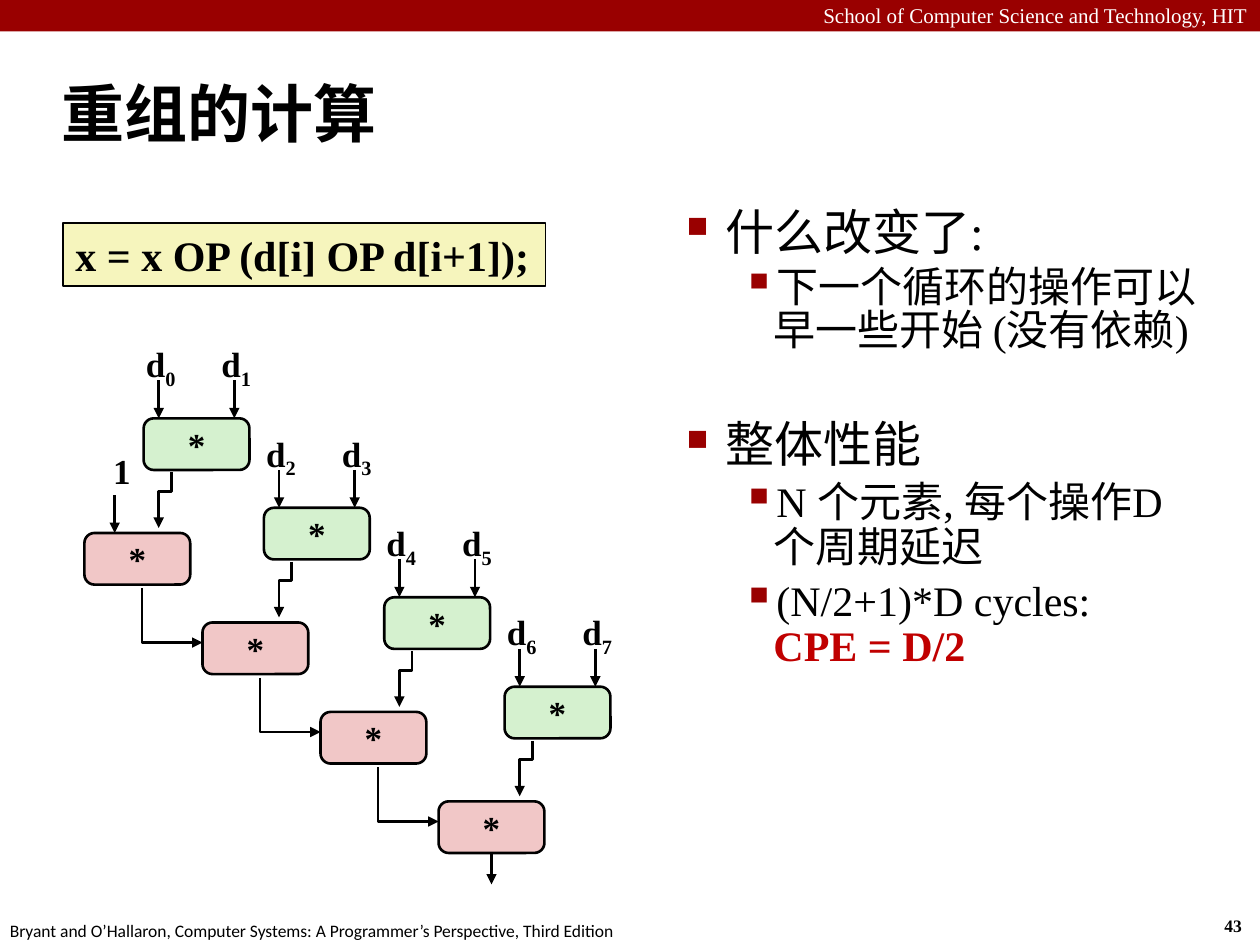
from lxml import etree
from pptx import Presentation
from pptx.dml.color import RGBColor
from pptx.enum.shapes import MSO_CONNECTOR, MSO_SHAPE
from pptx.enum.text import MSO_ANCHOR, PP_ALIGN
from pptx.oxml.ns import qn
from pptx.util import Inches, Pt

BLACK = RGBColor(0x00, 0x00, 0x00)
WHITE = RGBColor(0xFF, 0xFF, 0xFF)
CRIMSON = RGBColor(0x99, 0x00, 0x00)
RED = RGBColor(0xC0, 0x00, 0x00)
PINK = RGBColor(0xF1, 0xC7, 0xC7)
GREEN = RGBColor(0xD5, 0xF1, 0xCF)
CREAM = RGBColor(0xF6, 0xF5, 0xBD)
LEFT, CENTER, RIGHT = PP_ALIGN.LEFT, PP_ALIGN.CENTER, PP_ALIGN.RIGHT
TOP, MIDDLE = MSO_ANCHOR.TOP, MSO_ANCHOR.MIDDLE
RECTANGLE, ROUNDED = MSO_SHAPE.RECTANGLE, MSO_SHAPE.ROUNDED_RECTANGLE
STRAIGHT = MSO_CONNECTOR.STRAIGHT
SERIF, SANS = "Times New Roman", "Calibri"
BOTTOM_SIDE = 2

NODE_WIDTH, NODE_HEIGHT = 0.84, 0.41
ROW_STEP = 0.71


class SlideBuilder:
    def __init__(self, page):
        self.page = page
        self.shapes = page.shapes

    def style(self, para, size, color=BLACK, bold=False, font=SERIF, align=LEFT):
        para.alignment = align
        para.font.size = Pt(size)
        para.font.name = font
        para.font.bold = bold
        para.font.color.rgb = color

    def indent(self, para, margin, hanging):
        properties = para._p.get_or_add_pPr()
        properties.set("marL", str(Inches(margin)))
        properties.set("indent", str(-Inches(hanging)))
        return properties

    def text(self, place, content, size, wrap=True, anchor=TOP, subscript=None, **look):
        box = self.shapes.add_textbox(*map(Inches, place))
        frame = box.text_frame
        frame.word_wrap = wrap
        frame.vertical_anchor = anchor
        para = frame.paragraphs[0]
        para.add_run().text = content
        self.style(para, size, **look)
        if subscript is not None:
            frame.margin_left = frame.margin_right = Inches(0.05)
            span = para.add_run()
            span.text = subscript
            span.font._element.set("baseline", "-25000")
        return para

    def box(self, place, fill, kind=RECTANGLE, content="", size=20, border=None, align=CENTER):
        shape = self.shapes.add_shape(kind, *map(Inches, place))
        shape.shadow.inherit = False
        shape.fill.solid()
        shape.fill.fore_color.rgb = fill
        if border:
            shape.line.color.rgb = BLACK
            shape.line.width = Pt(border)
        else:
            shape.line.fill.background()
        if content:
            frame = shape.text_frame
            frame.word_wrap = False
            frame.vertical_anchor = MIDDLE
            frame.text = content
            self.style(frame.paragraphs[0], size, bold=True, align=align)
        return shape

    def node(self, left, top, fill):
        shape = self.box((left, top, NODE_WIDTH, NODE_HEIGHT), fill, ROUNDED, "*", border=1.5)
        shape.adjustments[0] = 0.196
        return shape

    def arrowhead(self, shape):
        shape.line.color.rgb = BLACK
        shape.line.width = Pt(1.5)
        etree.SubElement(shape.line._get_or_add_ln(), qn("a:tailEnd"), type="triangle")

    def arrow(self, left, top, length=0.3, source=None):
        line = self.shapes.add_connector(
            STRAIGHT, Inches(left), Inches(top), Inches(left), Inches(top + length))
        if source is not None:
            line.begin_connect(source, BOTTOM_SIDE)
        self.arrowhead(line)
        etree.SubElement(line._element.spPr, qn("a:effectLst"))

    def elbow(self, *points):
        start, *rest = [(Inches(x), Inches(y)) for x, y in points]
        builder = self.shapes.build_freeform(*start)
        builder.add_line_segments(rest, close=False)
        shape = builder.convert_to_shape()
        shape.shadow.inherit = False
        shape.fill.background()
        self.arrowhead(shape)

    def bullets(self, place, items):
        frame = self.shapes.add_textbox(*map(Inches, place)).text_frame
        frame.word_wrap = True
        for index, (level, content, spacing, before, highlight) in enumerate(items):
            para = frame.paragraphs[0] if index == 0 else frame.add_paragraph()
            para.level = level
            margin, hanging, mark, scale, size = [
                (0.31, 0.31, "■", "60000", 28),
                (0.69, 0.25, "▪", "110000", 24),
            ][level]
            properties = self.indent(para, margin, hanging)
            color = etree.SubElement(properties, qn("a:buClr"))
            etree.SubElement(color, qn("a:srgbClr"), val=str(CRIMSON))
            etree.SubElement(properties, qn("a:buSzPct"), val=scale)
            etree.SubElement(properties, qn("a:buChar"), char=mark)
            self.style(para, size)
            para.line_spacing = spacing
            para.space_before = Pt(before)
            para.add_run().text = content
            if highlight:
                para.add_line_break()
                span = para.add_run()
                span.text = highlight
                span.font.bold = True
                span.font.color.rgb = RED


def draw_computation(slide):
    for row in range(4):
        drop = row * ROW_STEP
        green_left, green_top = 1.14 + 0.955 * row, 3.32 + drop
        pink_left, pink_top = 0.67 + 0.937 * row, 4.23 + drop

        pink = slide.node(pink_left, pink_top, PINK)
        slide.node(green_left, green_top, GREEN)
        for column, offset in enumerate((0.12, 0.72)):
            center = green_left + offset
            slide.text((center - 0.16, green_top - 0.65, 0.35, 0.44), "d", 20, wrap=False,
                       subscript=str(2 * row + column), bold=True, align=CENTER)
            slide.arrow(center, green_top - 0.3)

        exit_x, entry_x = green_left + 0.22, green_left + 0.12
        slide.elbow((exit_x, green_top + 0.43), (exit_x, green_top + 0.58),
                    (entry_x, green_top + 0.58), (entry_x, green_top + 0.87))
        if row == 0:
            slide.text((0.8, 3.52, 0.24, 0.44), "1", 20, wrap=False, bold=True, align=CENTER)
            slide.arrow(0.91, 3.93)
        else:
            turn_x, turn_y = pink_left - 0.48, pink_top + 0.16
            slide.elbow((turn_x, turn_y - 0.43), (turn_x, turn_y), (pink_left, turn_y))
    slide.arrow(pink_left + NODE_WIDTH / 2, pink_top + NODE_HEIGHT, 0.25, source=pink)


def main():
    deck = Presentation()
    deck.slide_width, deck.slide_height = Inches(10), Inches(7.5)
    slide = SlideBuilder(deck.slides.add_slide(deck.slide_layouts[6]))

    slide.box((0, 0, 10, 0.25), CRIMSON)
    slide.text((0, -0.03, 10, 0.3), "School of Computer Science and Technology, HIT", 12,
               color=WHITE, align=RIGHT)
    slide.text((9.62, 7.21, 0.37, 0.27), "43", 10, wrap=False, bold=True)
    slide.text((-0.02, 7.25, 5.08, 0.27),
               "Bryant and O’Hallaron, Computer Systems: A Programmer’s Perspective, Third Edition",
               10, wrap=False, font=SANS)
    title = slide.text((0.39, 0.48, 9.61, 0.83), "重组的计算", 36, anchor=MIDDLE,
                       bold=True, font=SANS)
    slide.indent(title, 0.13, 0.13)

    slide.bullets((5.35, 1.62, 4.32, 5.71), [
        (0, "什么改变了:", 0.85, 0, None),
        (1, "下一个循环的操作可以早一些开始 (没有依赖)", 0.85, 4.8, None),
        (0, "整体性能", 0.85, 39, None),
        (1, "N 个元素, 每个操作D 个周期延迟", 0.9, 4.8, None),
        (1, "(N/2+1)*D cycles:", 0.9, 4.8, "CPE = D/2"),
    ])
    draw_computation(slide)
    slide.box((0.5, 1.77, 3.83, 0.5), CREAM, content="x = x OP (d[i] OP d[i+1]);",
              size=24, border=1, align=LEFT)
    deck.save("out.pptx")


if __name__ == "__main__":
    main()
